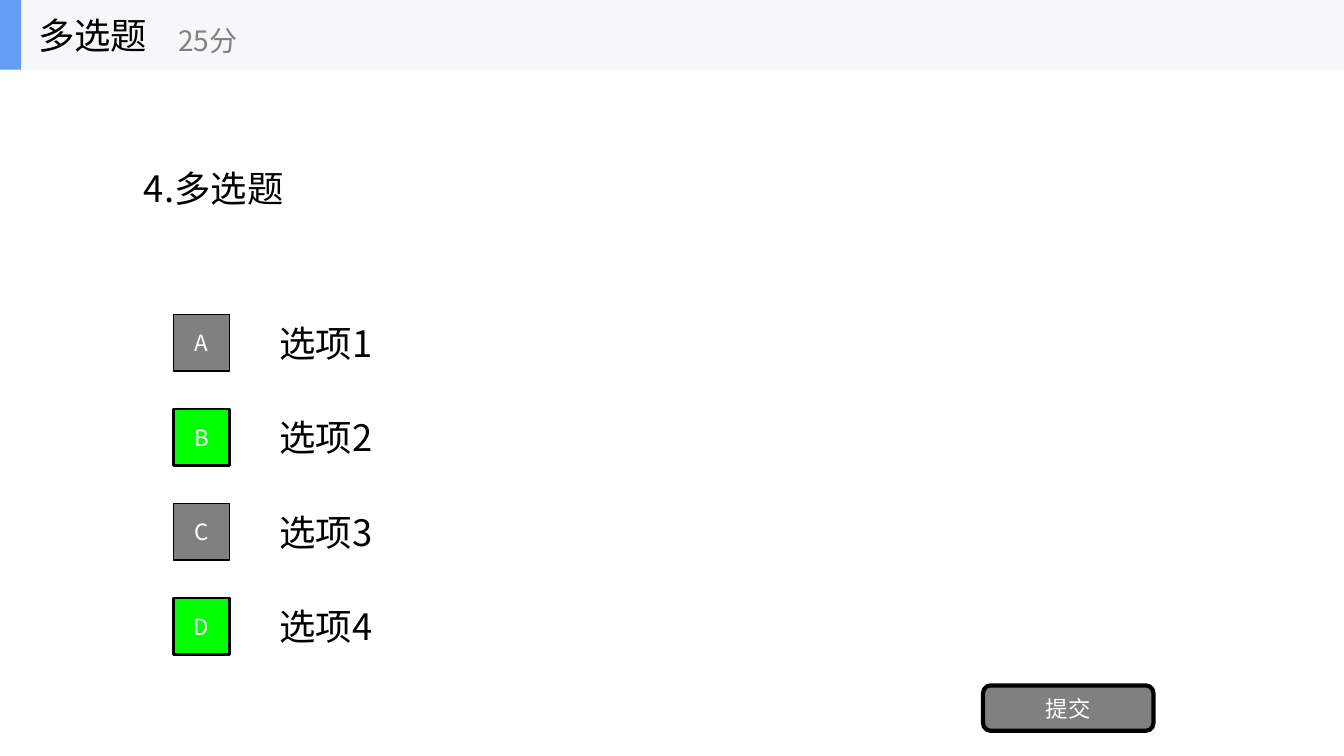
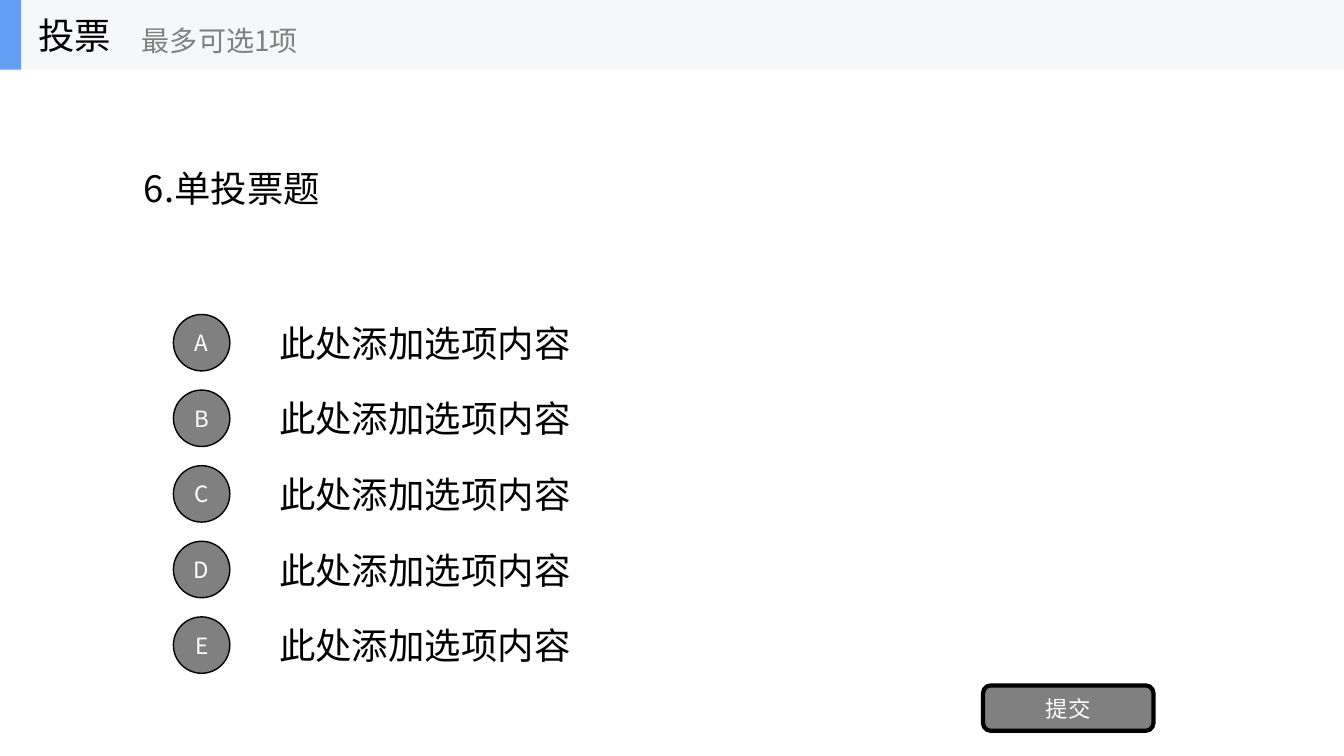
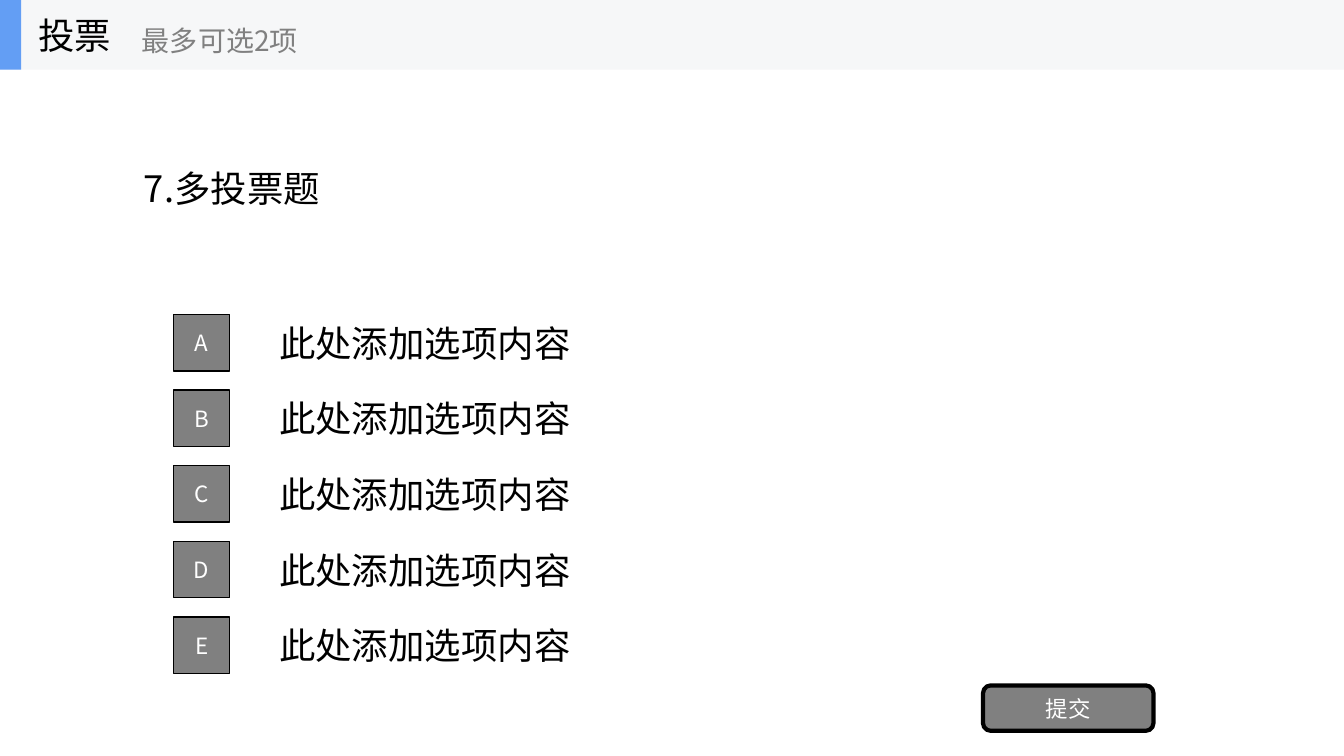
from dataclasses import dataclass

from lxml import etree
from pptx import Presentation
from pptx.dml.color import RGBColor
from pptx.enum import shapes, text
from pptx.oxml.ns import qn
from pptx.util import Inches, Pt

# Shared style
FONT = "Noto Sans CJK SC"
BLACK, WHITE, GRAY, GREEN = "000000", "FFFFFF", "808080", "00FF00"
BAND, ACCENT = "F6F7F8", "639EF4"
RECT = shapes.MSO_SHAPE.RECTANGLE
OVAL = shapes.MSO_SHAPE.OVAL
ROUNDED = shapes.MSO_SHAPE.ROUNDED_RECTANGLE

# Shared layout, in inches
SLIDE_W, SLIDE_H = 13.33, 7.5
BAND_H = 0.69
TITLE_CHAR_W = 0.36
OPTIONS_TOP, OPTIONS_H = 3.05, 3.75
OPTION_H, BADGE = 0.7, 0.56


@dataclass
class Box:
    left: float
    top: float
    width: float
    height: float

    def emu(self) -> list[int]:
        return [Inches(v) for v in (self.left, self.top, self.width, self.height)]


@dataclass
class Quiz:
    kind: str
    hint: str
    question: str
    options: list[str]
    badge: shapes.MSO_SHAPE
    correct: str = ""


QUIZZES = [
    Quiz("多选题", "25分", "4.多选题", [f"选项{n}" for n in range(1, 5)], RECT, "BD"),
    Quiz("投票", "最多可选1项", "6.单投票题", ["此处添加选项内容"] * 5, OVAL),
    Quiz("投票", "最多可选2项", "7.多投票题", ["此处添加选项内容"] * 5, RECT),
]


def rgb(color: str) -> RGBColor:
    return RGBColor.from_string(color)


def set_text(sp, content: str, size: float, color: str, align=None) -> None:
    tf = sp.text_frame
    tf.word_wrap = True
    tf.vertical_anchor = text.MSO_ANCHOR.MIDDLE
    tf.text = content
    p = tf.paragraphs[0]
    p.alignment = align
    r = p.runs[0]
    r.font.size = Pt(size)
    r.font.name = FONT
    r.font.color.rgb = rgb(color)
    # East Asian typeface
    etree.SubElement(r._r.get_or_add_rPr(), qn("a:ea"), typeface=FONT)


def add_label(parent, box: Box, content: str, size: float = 26, color: str = BLACK) -> None:
    set_text(parent.shapes.add_textbox(*box.emu()), content, size, color)


def add_block(parent, kind, box: Box, fill: str, line: float = 0, content: str = "") -> None:
    sp = parent.shapes.add_shape(kind, *box.emu())
    sp.shadow.inherit = False
    sp.fill.solid()
    sp.fill.fore_color.rgb = rgb(fill)
    if line:
        sp.line.color.rgb = rgb(BLACK)
        sp.line.width = Pt(line)
    else:
        sp.line.fill.background()
    if content:
        set_text(sp, content, 16, WHITE, text.PP_ALIGN.CENTER)


def add_header(s, quiz: Quiz) -> None:
    header = s.shapes.add_group_shape()
    add_block(header, RECT, Box(0, 0, SLIDE_W, BAND_H), BAND)
    add_block(header, RECT, Box(0, 0, 0.21, BAND_H), ACCENT)
    add_label(header, Box(0.28, 0, 2.08, BAND_H), quiz.kind)
    hint_left = 0.59 + TITLE_CHAR_W * len(quiz.kind)
    add_label(header, Box(hint_left, 0.12, 2.5, 0.56), quiz.hint, 20, GRAY)


def add_options(s, quiz: Quiz) -> None:
    pitch = OPTIONS_H / len(quiz.options)
    for i, (letter, option) in enumerate(zip("ABCDE", quiz.options)):
        top = OPTIONS_TOP + i * pitch
        add_label(s, Box(2.67, top, 9.33, OPTION_H), option)
        fill, line = (GREEN, 2) if letter in quiz.correct else (GRAY, 1)
        badge = Box(1.72, top + (OPTION_H - BADGE) / 2, BADGE, BADGE)
        add_block(s, quiz.badge, badge, fill, line, letter)


def main() -> None:
    prs = Presentation()
    prs.slide_width, prs.slide_height = Inches(SLIDE_W), Inches(SLIDE_H)
    for quiz in QUIZZES:
        s = prs.slides.add_slide(prs.slide_layouts[6])
        add_label(s, Box(1.33, BAND_H, 10.67, 2.34), quiz.question)
        add_options(s, quiz)
        # Submit button
        add_block(s, ROUNDED, Box(9.75, 6.8, 1.69, 0.45), GRAY, 3, "提交")
        add_header(s, quiz)
    prs.save("out.pptx")


if __name__ == "__main__":
    main()
